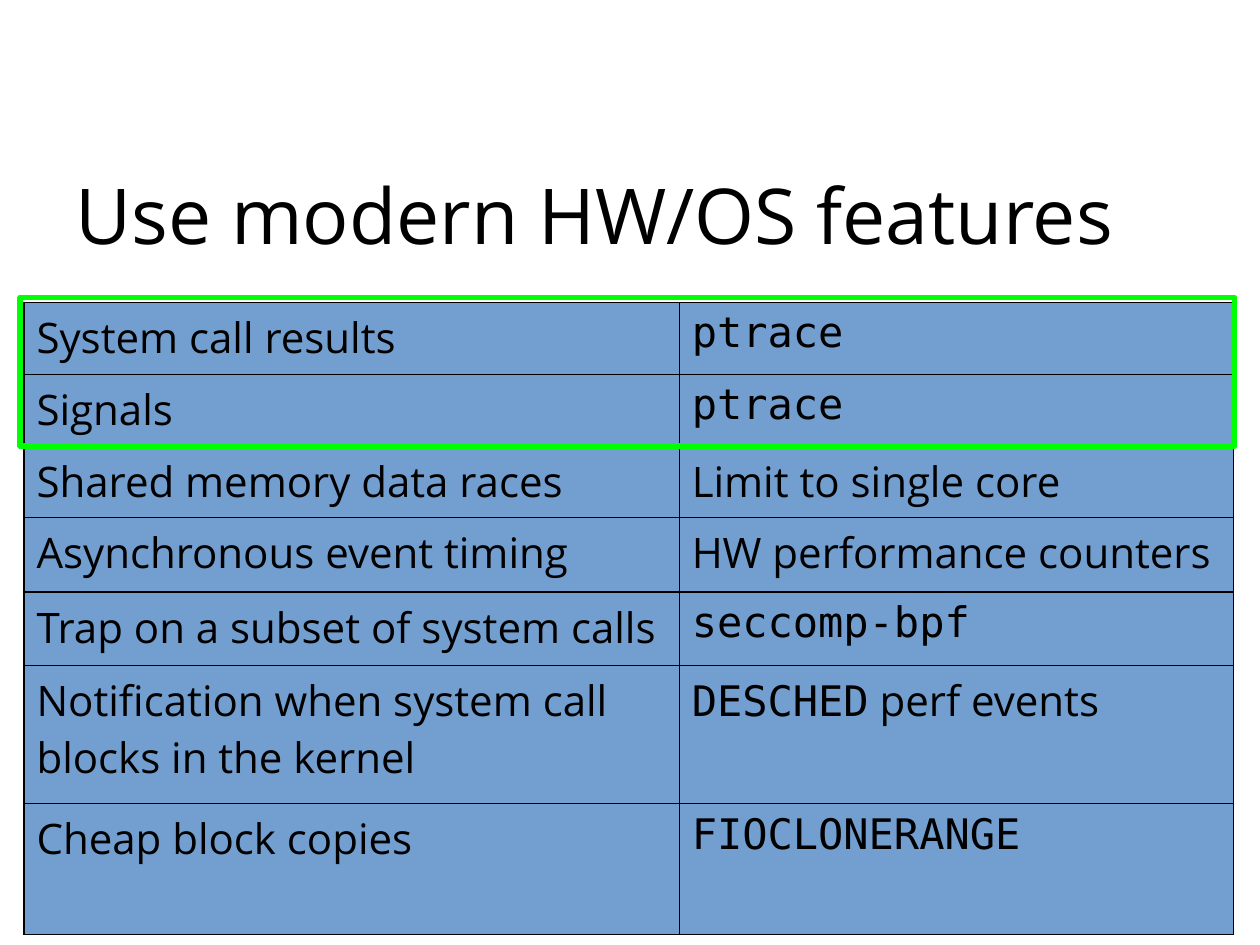
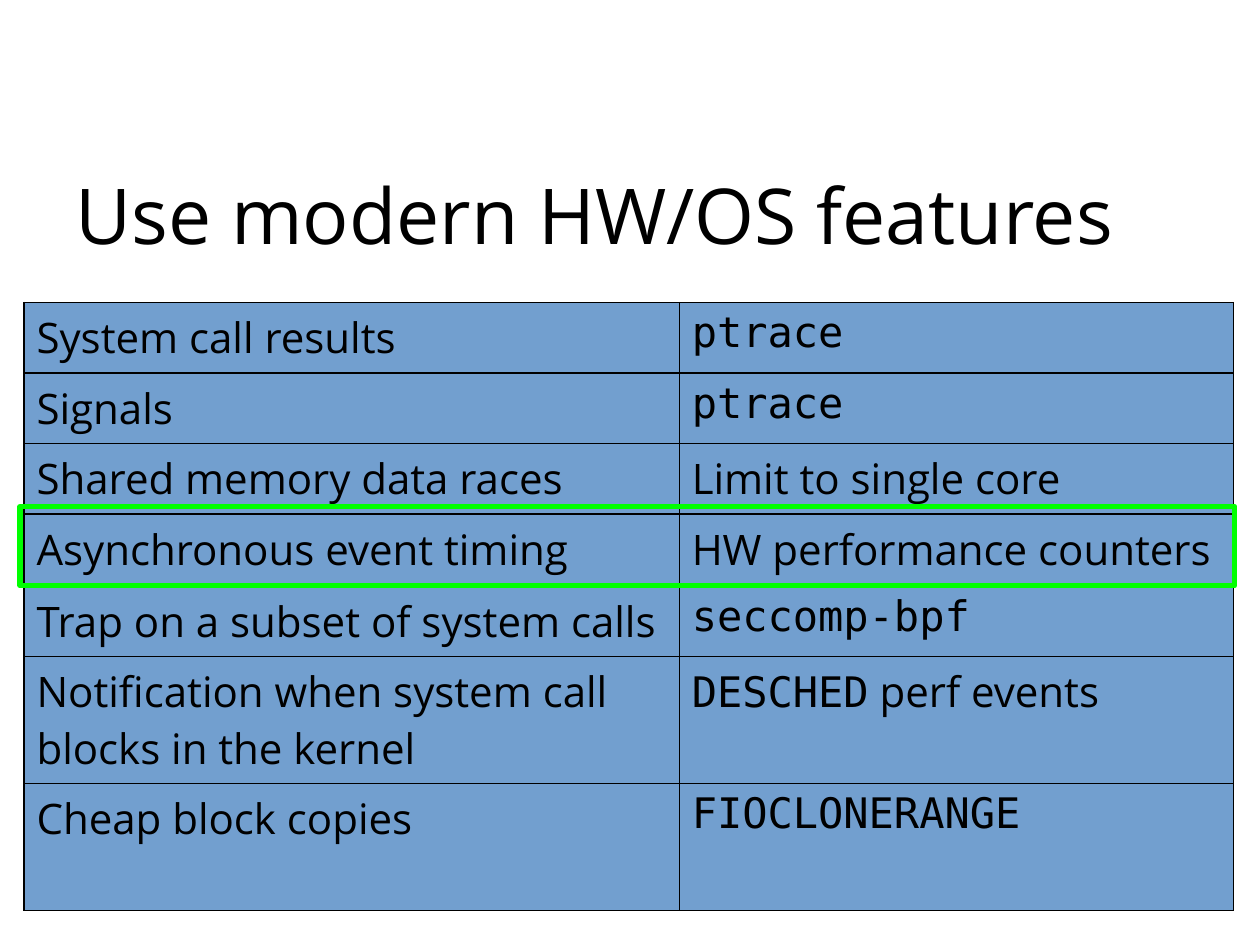
from dataclasses import dataclass

from lxml import etree
from pptx import Presentation
from pptx import util as u
from pptx.dml.color import RGBColor
from pptx.enum import shapes, text
from pptx.oxml import ns

PX = 9144  # EMU per px, 100 px to the inch


@dataclass(frozen=True)
class Theme:
    ink: str = "000000"
    cell: str = "729FCF"
    highlight: str = "00FF00"
    sans: str = "Open Sans"
    mono: str = "DejaVu Sans Mono"
    title_size: int = 44
    cell_size: int = 24
    grid_width: float = 0.75
    highlight_width: int = 3


THEME = Theme()
TITLE = "Use modern HW/OS features"
COLUMNS = (520, 440)

# Text between backticks is set as code
FEATURES = (
    ("System call results", "`ptrace`"),
    ("Signals", "`ptrace`"),
    ("Shared memory data races", "Limit to single core"),
    ("Asynchronous event timing", "HW performance counters"),
    ("Trap on a subset of system calls", "`seccomp-bpf`"),
    ("Notification when system call blocks in the kernel", "`DESCHED` perf events"),
    ("Cheap block copies", "`FIOCLONERANGE`"),
)

# Row heights, then top and height of the highlight, for each slide
STEPS = (
    ((57, 57, 57, 59, 58, 110, 104), 236, 118),
    ((56, 56, 56, 57, 56, 101, 101), 402, 63),
)


def px(*lengths):
    return [u.Emu(length * PX) for length in lengths]


def write(frame, content, *, size, color=THEME.ink):
    """Fill a text frame, switching to the code font between backticks."""
    paragraph = frame.paragraphs[0]
    paragraph.alignment = text.PP_ALIGN.LEFT
    for index, part in enumerate(content.split("`")):
        if part:
            run = paragraph.add_run()
            run.text = part
            run.font.name = THEME.mono if index % 2 else THEME.sans
            run.font.size = u.Pt(size)
            run.font.color.rgb = RGBColor.from_string(color)


class Deck:
    def __init__(self, theme):
        self.theme = theme
        self.file = Presentation()
        self.file.slide_width, self.file.slide_height = px(1000, 750)
        self.slide = None

    def new_slide(self):
        self.slide = self.file.slides.add_slide(self.file.slide_layouts[6])

    def title(self, content):
        box = self.slide.shapes.add_textbox(*px(50, 115, 899, 110))
        frame = box.text_frame
        frame.word_wrap = True
        frame.vertical_anchor = text.MSO_ANCHOR.MIDDLE
        write(frame, content, size=self.theme.title_size)

    def table(self, rows, heights):
        area = px(19, 240, sum(COLUMNS), sum(heights))
        table = self.slide.shapes.add_table(len(rows), len(COLUMNS), *area).table
        table.first_row = table.horz_banding = False
        for column, width in zip(table.columns, px(*COLUMNS)):
            column.width = width
        for row, height, contents in zip(table.rows, px(*heights), rows):
            row.height = height
            for cell, content in zip(row.cells, contents):
                self.grid_lines(cell)
                cell.fill.solid()
                cell.fill.fore_color.rgb = RGBColor.from_string(self.theme.cell)
                write(cell.text_frame, content, size=self.theme.cell_size)

    def grid_lines(self, cell):
        properties = cell._tc.get_or_add_tcPr()
        for side in "LRTB":
            line = etree.SubElement(properties, ns.qn(f"a:ln{side}"),
                                    w=str(u.Pt(self.theme.grid_width)))
            fill = etree.SubElement(line, ns.qn("a:solidFill"))
            etree.SubElement(fill, ns.qn("a:srgbClr"), val=self.theme.ink)

    def highlight(self, top, height):
        frame = self.slide.shapes.add_shape(
            shapes.MSO_SHAPE.RECTANGLE, *px(16, top, 964, height))
        frame.shadow.inherit = False
        frame.fill.background()
        frame.line.color.rgb = RGBColor.from_string(self.theme.highlight)
        frame.line.width = u.Pt(self.theme.highlight_width)


def main():
    deck = Deck(THEME)
    for heights, highlight_top, highlight_height in STEPS:
        deck.new_slide()
        deck.title(TITLE)
        deck.table(FEATURES, heights)
        deck.highlight(highlight_top, highlight_height)
    deck.file.save("out.pptx")


if __name__ == "__main__":
    main()
